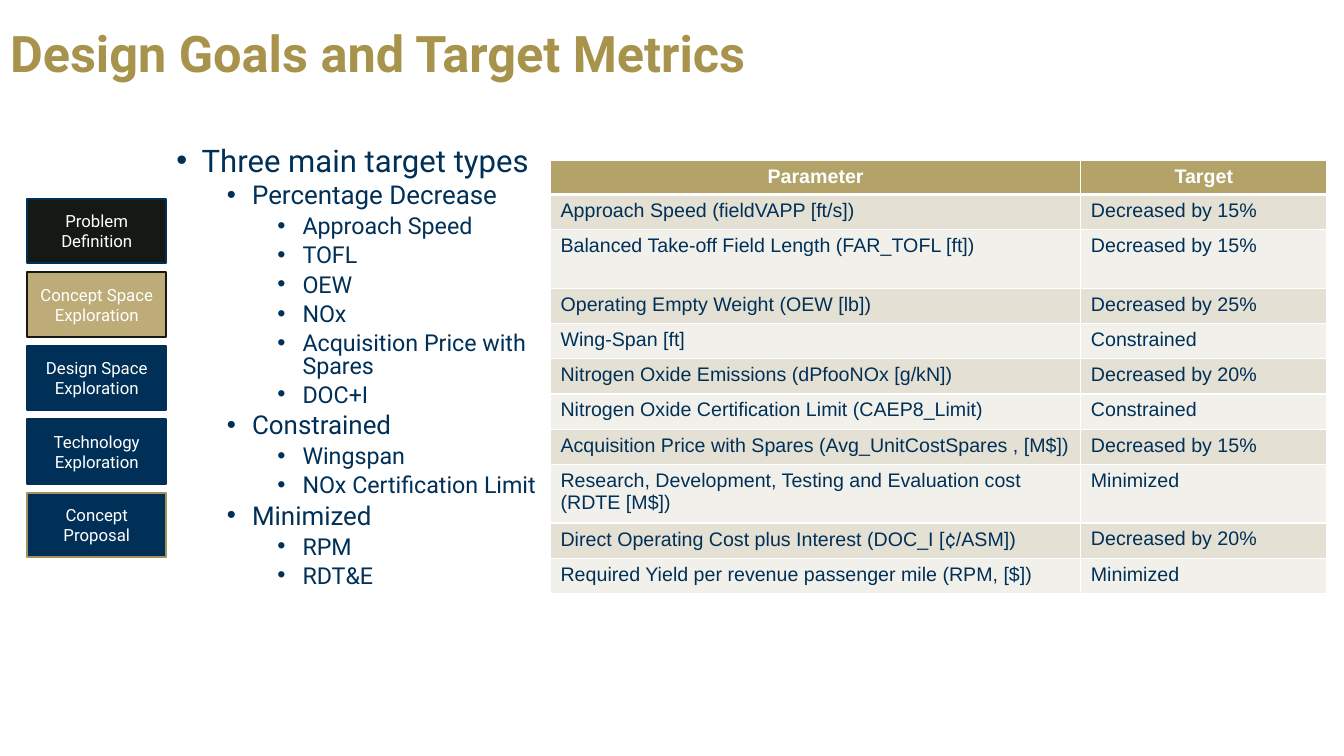
from lxml.etree import SubElement, fromstring
from pptx import Presentation
from pptx.dml.color import RGBColor
from pptx.enum.shapes import MSO_SHAPE
from pptx.enum.text import MSO_ANCHOR, MSO_AUTO_SIZE, PP_ALIGN
from pptx.oxml.ns import nsdecls, qn
from pptx.util import Inches, Pt

COLORS = {
    "navy": "003057", "gold": "A7934B", "tan": "BDAC78", "edge": "A4925A",
    "black": "151813", "white": "FFFFFF", "head": "B3A369",
    "odd": "E5E0D4", "even": "F2F0EB",
}
POINTS = [
    (0, "Three main target types"),
    (1, "Percentage Decrease"),
    (2, "Approach Speed"),
    (2, "TOFL"),
    (2, "OEW"),
    (2, "NOx"),
    (2, "Acquisition Price with Spares"),
    (2, "DOC+I"),
    (1, "Constrained"),
    (2, "Wingspan"),
    (2, "NOx Certification Limit"),
    (1, "Minimized"),
    (2, "RPM"),
    (2, "RDT&E"),
]
STAGES = [
    ("Problem Definition", "black", "navy"),
    ("Concept Space Exploration", "tan", "black"),
    ("Design Space Exploration", "navy", "navy"),
    ("Technology Exploration", "navy", "navy"),
    ("Concept Proposal", "navy", "edge"),
]
GOALS = [
    ("Parameter", "Target"),
    ("Approach Speed (fieldVAPP [ft/s])", "Decreased by 15%"),
    ("Balanced Take-off Field Length (FAR_TOFL [ft])", "Decreased by 15%"),
    ("Operating Empty Weight (OEW [lb])", "Decreased by 25%"),
    ("Wing-Span [ft]", "Constrained"),
    ("Nitrogen Oxide Emissions (dPfooNOx [g/kN])", "Decreased by 20%"),
    ("Nitrogen Oxide Certification Limit (CAEP8_Limit)", "Constrained"),
    ("Acquisition Price with Spares (Avg_UnitCostSpares , [M$])", "Decreased by 15%"),
    ("Research, Development, Testing and Evaluation cost (RDTE [M$])", "Minimized"),
    ("Direct Operating Cost plus Interest (DOC_I [¢/ASM])", "Decreased by 20%"),
    ("Required Yield per revenue passenger mile (RPM, [$])", "Minimized"),
]
TALL = (2, 8)


class Deck:
    font = "Roboto"
    sizes = (22.2, 18.5, 16.6)

    def __init__(self):
        self.show = Presentation()
        self.show.slide_width = Inches(13.33)
        self.show.slide_height = Inches(7.5)
        self.slide = self.show.slides.add_slide(self.show.slide_layouts[1])

    def wide(self, share):
        return int(self.show.slide_width * share / 100)

    def high(self, share):
        return int(self.show.slide_height * share / 100)

    def area(self, x, y, w, h):
        return self.wide(x), self.high(y), self.wide(w), self.high(h)

    def color(self, name):
        return RGBColor.from_string(COLORS[name])

    def paint(self, part, name):
        part.fill.solid()
        part.fill.fore_color.rgb = self.color(name)

    def style(self, line, size, color, bold=False, font=None):
        for run in line.runs:
            run.font.name = font or self.font
            run.font.size = Pt(size)
            run.font.bold = bold
            run.font.color.rgb = self.color(color)

    def place(self, shape, box):
        shape.left, shape.top, shape.width, shape.height = self.area(*box)
        shape.text_frame.auto_size = MSO_AUTO_SIZE.NONE

    def title(self, text, box):
        shape = self.slide.shapes.title
        self.place(shape, box)
        frame = shape.text_frame
        frame.text = text
        frame.vertical_anchor = MSO_ANCHOR.MIDDLE
        line = frame.paragraphs[0]
        line.alignment = PP_ALIGN.LEFT
        line.line_spacing = 0.9
        self.style(line, 36, "gold", True)

    def list(self, points, box):
        shape = self.slide.placeholders[1]
        self.place(shape, box)
        frame = shape.text_frame
        frame.text = "\n".join(text for _, text in points)
        for index, (line, (level, _)) in enumerate(zip(frame.paragraphs, points)):
            line.level = level
            props = line._p.get_or_add_pPr()
            props.set("marL", str(Inches(0.25 + 0.5 * level)))
            props.set("indent", str(Inches(-0.25)))
            SubElement(props, qn("a:buFont"), typeface="Arial")
            SubElement(props, qn("a:buChar"), char="•")
            line.line_spacing = 0.8
            line.space_before = Pt(5 if index else 0)
            self.style(line, self.sizes[level], "navy")

    def stack(self, stages, box, step):
        group = self.slide.shapes.add_group_shape()
        x, y, w, h = box
        for index, (text, fill, edge) in enumerate(stages):
            spot = self.area(x, y + index * step, w, h)
            shape = group.shapes.add_shape(MSO_SHAPE.RECTANGLE, *spot)
            shape.shadow.inherit = False
            self.paint(shape, fill)
            shape.line.color.rgb = self.color(edge)
            shape.line.width = Pt(1.5)
            frame = shape.text_frame
            frame.text = text
            frame.word_wrap = True
            frame.vertical_anchor = MSO_ANCHOR.MIDDLE
            line = frame.paragraphs[0]
            line.alignment = PP_ALIGN.CENTER
            self.style(line, 12, "white")

    def edges(self, cell, top, bottom):
        props = cell._tc.get_or_add_tcPr()
        for index, (side, size) in enumerate(zip("LRTB", (1, 1, top, bottom))):
            props.insert(index, fromstring(
                f'<a:ln{side} {nsdecls("a")} w="{Pt(size)}"><a:solidFill>'
                f'<a:srgbClr val="{COLORS["white"]}"/></a:solidFill></a:ln{side}>'))

    def cell(self, cell, text, row):
        head = row == 0
        self.paint(cell, "head" if head else "odd" if row % 2 else "even")
        self.edges(cell, 3 if row == 1 else 1, 3 if head else 1)
        start, sign, end = text.partition("¢")
        line = cell.text_frame.paragraphs[0]
        line.text = start
        for part in filter(None, (sign, end)):
            line.add_run().text = part
        self.style(line, 14, "white" if head else "navy", head, "Arial")
        if sign:
            line.runs[1].font.name = self.font
        if head:
            line.alignment = PP_ALIGN.CENTER

    def table(self, rows, x, y, widths, heights):
        box = self.area(x, y, sum(widths), sum(heights))
        grid = self.slide.shapes.add_table(len(rows), len(widths), *box).table
        for column, width in zip(grid.columns, widths):
            column.width = self.wide(width)
        for index, texts in enumerate(rows):
            grid.rows[index].height = self.high(heights[index])
            for cell, text in zip(grid.rows[index].cells, texts):
                self.cell(cell, text, index)


def main():
    deck = Deck()
    deck.title("Design Goals and Target Metrics", (0, 0, 93.77, 14.8))
    deck.list(POINTS, (12.38, 18.93, 29.56, 61.6))
    deck.stack(STAGES, (2.03, 26.27, 10.35, 8.53), 9.73)
    heights = [7.73 if row in TALL else 4.67 for row in range(len(GOALS))]
    heights[0] = 4.53
    deck.table(GOALS, 40.96, 21.2, (39.46, 18.3), heights)
    deck.show.save("out.pptx")


if __name__ == "__main__":
    main()
